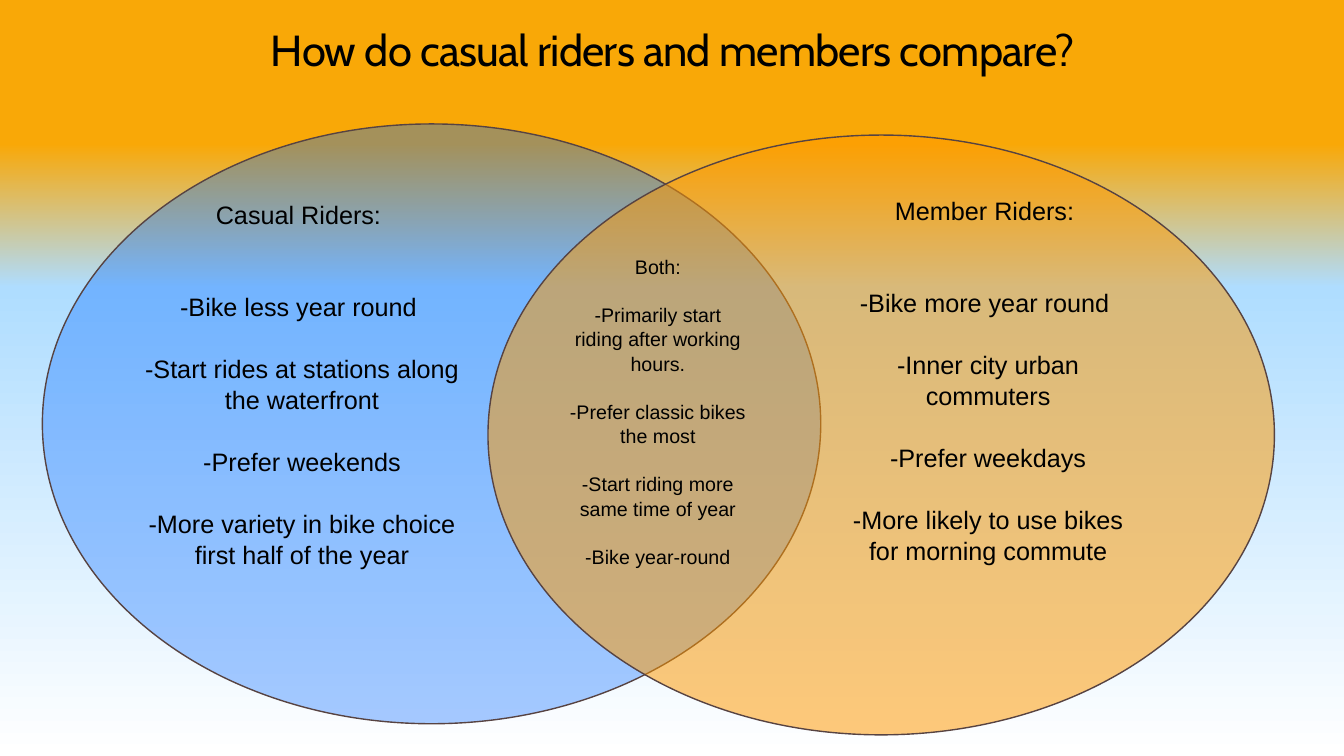
from pptx import Presentation
from pptx.dml.color import RGBColor
from pptx.enum.shapes import MSO_SHAPE
from pptx.enum.text import MSO_ANCHOR, MSO_AUTO_SIZE, PP_ALIGN
from pptx.oxml.ns import qn
from pptx.util import Inches, Pt
from lxml import etree

OVAL = MSO_SHAPE.OVAL
TOP = MSO_ANCHOR.TOP
FIXED = MSO_AUTO_SIZE.NONE
CENTER = PP_ALIGN.CENTER

COLORS = {
    "ink": "000000",
    "edge": "574342",
    "casual": "0066FF",
    "member": "FF9900",
    "amber": "F9A807",
    "sky": "AFDDFF",
    "white": "FFFFFF",
}


class Deck:
    """Holds the style and the current slide."""

    def __init__(self):
        self.prs = Presentation()
        self.prs.slide_width = Inches(13.33)
        self.prs.slide_height = Inches(7.5)
        self.slide = self.prs.slides.add_slide(self.prs.slide_layouts[5])

    def color(self, name):
        return RGBColor.from_string(COLORS[name])

    def backdrop(self, stops):
        """Fill the background from top to bottom; stops are (percent, color)."""
        fill = self.slide.background.fill
        fill.gradient()
        fill.gradient_angle = 270
        ramp = self.slide.element.find(".//" + qn("a:gsLst"))
        for old in list(ramp):
            ramp.remove(old)
        for percent, name in stops:
            stop = etree.SubElement(ramp, qn("a:gs"), pos=str(percent * 1000))
            etree.SubElement(stop, qn("a:srgbClr"), val=COLORS[name])

    def run(self, para, text, size, font):
        para.alignment = CENTER
        run = para.add_run()
        run.text = text
        run.font.size = Pt(size)
        run.font.name = font
        run.font.color.rgb = self.color("ink")
        return run

    def frame(self, shape):
        frame = shape.text_frame
        frame.word_wrap = True
        frame.auto_size = FIXED
        frame.vertical_anchor = TOP
        return frame

    def title(self, text, box):
        shape = self.slide.shapes.title
        shape.left, shape.top, shape.width, shape.height = map(Inches, box)
        para = self.frame(shape).paragraphs[0]
        para.line_spacing = 0.95
        run = self.run(para, text, 31, "Cabin")
        run.font._element.set("spc", "-50")

    def oval(self, box, name, alpha):
        """Draw a see-through circle of the diagram; alpha is in percent."""
        shape = self.slide.shapes.add_shape(OVAL, *map(Inches, box))
        shape.shadow.inherit = False
        shape.fill.solid()
        shape.fill.fore_color.rgb = self.color(name)
        tint = shape.fill._xPr.find(".//" + qn("a:srgbClr"))
        etree.SubElement(tint, qn("a:alpha"), val=str(alpha * 1000))
        shape.line.color.rgb = self.color("edge")
        shape.line.width = Pt(1)

    def notes(self, box, size, head, items, gap):
        """Write a heading, a gap of so many lines, then spaced items."""
        shape = self.slide.shapes.add_textbox(*map(Inches, box))
        frame = self.frame(shape)
        pitch = 1.2 * size
        for i, text in enumerate([head] + items):
            para = frame.add_paragraph() if i else frame.paragraphs[0]
            para.line_spacing = 1.04
            lines = (0, gap)[i] if i < 2 else 1
            para.space_before = Pt(pitch * lines)
            self.run(para, text, size, "Arial")


def main():
    deck = Deck()
    deck.backdrop([(19, "amber"), (38, "sky"), (100, "white")])
    deck.title("How do casual riders and members compare?",
               (2.01, 0.22, 9.32, 0.91))
    deck.oval((0.42, 1.23, 7.72, 5.95), "casual", 34)
    deck.oval((4.84, 1.34, 7.8, 5.95), "member", 52)
    deck.notes((1.32, 1.92, 3.35, 4.64), 18, "Casual Riders: ", [
        "-Bike less year round ",
        "-Start rides at stations along the waterfront",
        "-Prefer weekends",
        "-More variety in bike choice first half of the year",
    ], 2)
    deck.notes((8.21, 1.88, 3.18, 4.04), 18, "Member Riders: ", [
        "-Bike more year round ",
        "-Inner city urban commuters",
        "-Prefer weekdays",
        "-More likely to use bikes for morning commute",
    ], 2)
    deck.notes((5.55, 2.47, 1.95, 4.71), 14, "Both:", [
        "-Primarily start riding after working hours.",
        "-Prefer classic bikes the most",
        "-Start riding more same time of year",
        "-Bike year-round",
    ], 1)
    deck.prs.save("out.pptx")


if __name__ == "__main__":
    main()
